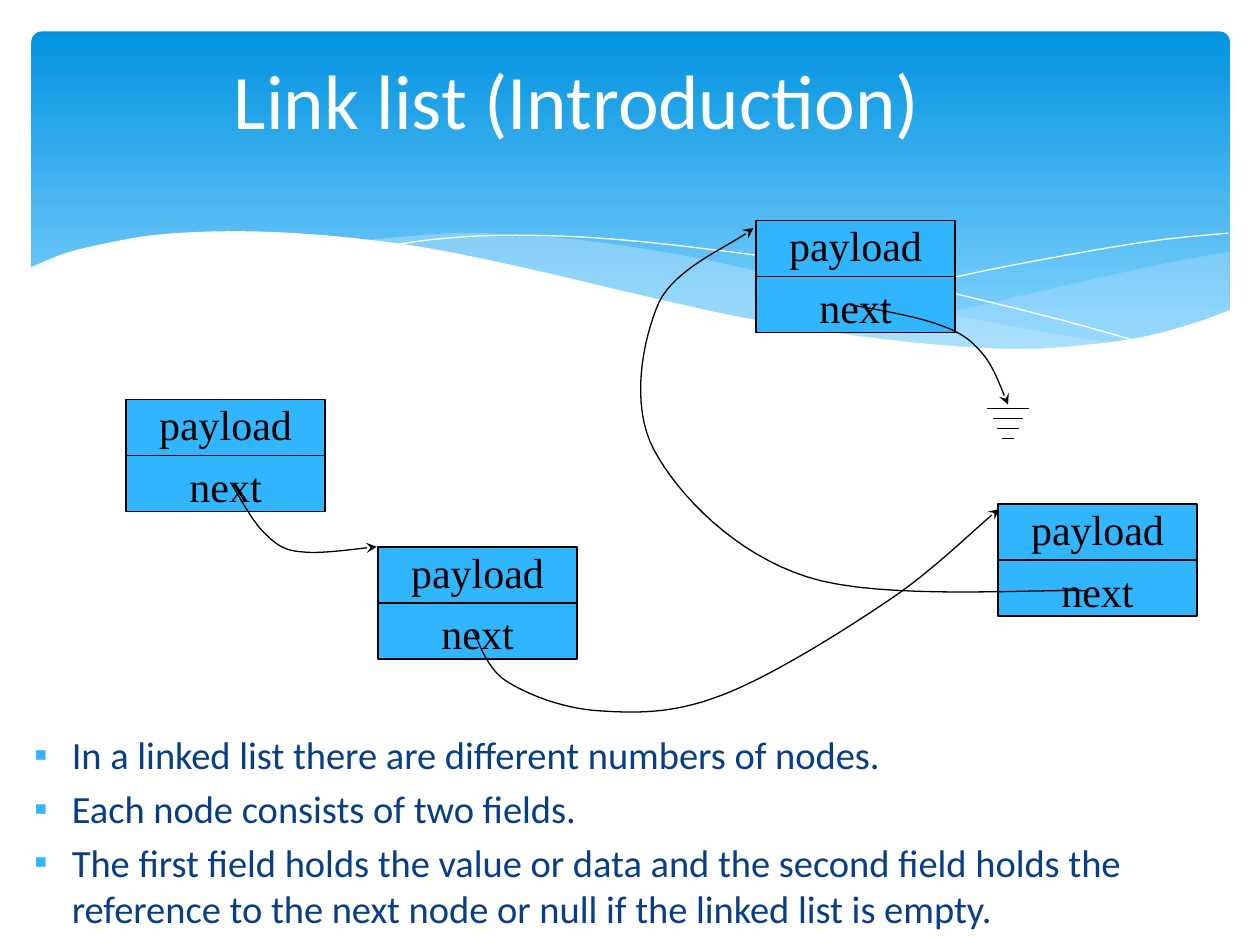
import pptx
import pptx.util
import pptx.dml.color
import pptx.enum.shapes
import pptx.enum.text
import pptx.oxml
import pptx.oxml.ns
import lxml.etree

Inches = pptx.util.Inches
Pt = pptx.util.Pt
Align = pptx.enum.text.PP_ALIGN
Fit = pptx.enum.text.MSO_AUTO_SIZE
Kind = pptx.enum.shapes.MSO_SHAPE
qn = pptx.oxml.ns.qn

COLORS = {"top": "0293E0", "low": "83D3FE", "mist": "C6E7FC", "white": "FFFFFF",
          "node": "31B6FD", "ink": "000000", "body": "073E87"}
TITLE = "Link list (Introduction)"
POINTS = [
    "In a linked list there are different numbers of nodes.",
    "Each node consists of two fields.",
    "The first field holds the value or data and the second field holds the "
    "reference to the next node or null if the linked list is empty.",
]
NODES = [(1, 3.17), (6, 1.75), (3, 4.34), (7.92, 4)]
FIELDS = [("payload", 0), ("next", 0.49)]
WIDE, HIGH, ROW = 1.58, 0.89, 0.39
LINKS = [
    [(3.75, 5), (3.79, 5.06), (3.85, 5.29), (4.01, 5.4), (4.18, 5.51), (4.46, 5.62),
     (4.74, 5.64), (5.03, 5.66), (5.33, 5.67), (5.72, 5.52), (6.1, 5.38), (6.69, 5.01),
     (7.06, 4.76), (7.43, 4.51), (7.74, 4.19), (7.93, 4.04)],
    [(1.83, 3.83), (1.88, 3.9), (2, 4.14), (2.1, 4.23), (2.19, 4.32), (2.25, 4.37),
     (2.4, 4.38), (2.55, 4.4), (2.86, 4.35), (2.99, 4.34)],
    [(8.64, 4.69), (8.27, 4.67), (6.99, 4.77), (6.41, 4.58), (5.84, 4.4), (5.39, 3.94),
     (5.19, 3.57), (5, 3.21), (5.1, 2.7), (5.23, 2.4), (5.37, 2.11), (5.83, 1.94),
     (5.98, 1.81)],
    [(6.75, 2.42), (6.87, 2.44), (7.28, 2.51), (7.46, 2.58), (7.63, 2.64), (7.71, 2.7),
     (7.8, 2.81), (7.89, 2.91), (7.96, 3.12), (8, 3.21)],
]
GROUND = [0.34, 0.24, 0.18, 0.1]
MISTS = [
    (29, [(9.76, 2), (9.35, 2.07), (8.61, 2.23), (7.79, 2.42), (7.06, 2.57), (6.61, 2.65)],
     [(6.61, 2.65), (7.19, 2.72), (7.69, 2.77), (8.14, 2.78), (8.54, 2.76),
      (8.97, 2.7), (9.35, 2.62), (9.76, 2.47)]),
    (40, [(8.93, 2.73), (8.37, 2.65), (7.41, 2.47), (6.29, 2.22), (5.69, 2.08),
          (5.14, 1.98), (4.65, 1.91), (4.2, 1.87), (3.61, 1.85), (2.86, 1.91)],
     [(2.86, 1.91), (3.62, 2.03), (4.49, 2.22), (5.3, 2.4), (6.01, 2.55), (6.65, 2.66),
      (7.22, 2.74), (7.73, 2.77), (8.18, 2.78), (8.57, 2.77), (8.93, 2.73)]),
]
STRANDS = [
    [(3.09, 1.95), (3.44, 1.9), (3.87, 1.87), (4.33, 1.87), (4.89, 1.9), (5.56, 1.97),
     (6.36, 2.08), (7.27, 2.26), (8.31, 2.51), (9.07, 2.72)],
    [(6.13, 2.57), (6.95, 2.35), (7.76, 2.16), (8.66, 1.99), (9.24, 1.9), (9.75, 1.85)],
]
CREST = [(9.77, 2.46), (9.4, 2.59), (8.99, 2.69), (8.5, 2.75), (8.09, 2.77), (7.61, 2.75),
         (7.08, 2.7), (6.48, 2.62), (5.79, 2.5), (5.03, 2.33), (4.18, 2.13), (3.4, 1.97),
         (2.71, 1.88), (2.11, 1.84), (1.61, 1.84), (1.19, 1.87), (0.85, 1.93),
         (0.52, 2.01), (0.23, 2.13)]


def tint(name):
    return pptx.dml.color.RGBColor.from_string(COLORS[name])


def write(frame, text, size=24, font="Calibri", color="ink", align=None, gap=0, first=True):
    para = frame.paragraphs[0] if first else frame.add_paragraph()
    para.alignment = align
    para.space_before = Pt(gap)
    run = para.add_run()
    run.text = text
    run.font.size = Pt(size)
    run.font.name = font
    run.font.color.rgb = tint(color)
    return para


def curve(nodes, steps=16):
    spots = [nodes[0]]
    for i in range(0, len(nodes) - 1, 3):
        a, b, c, d = nodes[i:i + 4]
        for k in range(1, steps + 1):
            t = k / steps
            u = 1 - t
            spots.append(tuple(u**3 * p + 3 * u * u * t * q + 3 * u * t * t * r + t**3 * s
                               for p, q, r, s in zip(a, b, c, d)))
    return spots


def smooth(knots):
    ends = [knots[0], *knots, knots[-1]]
    nodes = [knots[0]]
    for a, b, c, d in zip(ends, ends[1:], ends[2:], ends[3:]):
        nodes += [tuple(q + (r - p) / 6 for p, q, r in zip(a, b, c)),
                  tuple(r - (s - q) / 6 for q, r, s in zip(b, c, d)), c]
    return curve(nodes, 6)


def trace(spots, fill=None, alpha=None, line=None, width=0.75, tail=False):
    spots = [(Inches(x), Inches(y)) for x, y in spots]
    pen = shapes.build_freeform(*spots[0], scale=1.0)
    pen.add_line_segments(spots[1:], close=bool(fill))
    shape = pen.convert_to_shape()
    shape.shadow.inherit = False
    if fill:
        shape.fill.solid()
        shape.fill.fore_color.rgb = tint(fill)
    else:
        shape.fill.background()
    if alpha:
        mark = shape.fill._xPr.find(".//" + qn("a:srgbClr"))
        lxml.etree.SubElement(mark, qn("a:alpha"), val=str(alpha * 1000))
    if line:
        shape.line.color.rgb = tint(line)
        shape.line.width = Pt(width)
    else:
        shape.line.fill.background()
    if tail:
        lxml.etree.SubElement(shape.line._get_or_add_ln(), qn("a:tailEnd"), type="stealth")


def rule(group, left, right, y):
    line = group.shapes.add_connector(pptx.enum.shapes.MSO_CONNECTOR.STRAIGHT,
                                      Inches(left), Inches(y), Inches(right), Inches(y))
    line.line.color.rgb = tint("ink")
    line.line.width = Pt(0.75)
    lxml.etree.SubElement(line.element.spPr, qn("a:effectLst"))
    return line


def place(shape, *rect):
    shape.left, shape.top, shape.width, shape.height = map(Inches, rect)
    shape.element.getparent().append(shape.element)
    frame = shape.text_frame
    frame.word_wrap = True
    frame.auto_size = Fit.NONE
    return frame


deck = pptx.Presentation()
deck.slide_width, deck.slide_height = Inches(10), Inches(7.5)
slide = deck.slides.add_slide(deck.slide_layouts[1])
shapes = slide.shapes

panel = shapes.add_shape(Kind.ROUNDED_RECTANGLE, Inches(0.25), Inches(0.25),
                         Inches(9.51), Inches(2.7))
panel.adjustments[0] = 0.03
panel.shadow.inherit = False
panel.line.fill.background()
panel.fill.gradient()
panel.fill.gradient_angle = 270
for stop, name, spot in zip(panel.fill.gradient_stops, ("top", "low"), (0, 0.9)):
    stop.color.rgb = tint(name)
    stop.position = spot

for alpha, upper, lower in MISTS:
    trace(smooth(upper) + smooth(lower), fill="mist", alpha=alpha)
for strand in STRANDS:
    trace(smooth(strand), line="white", width=0)
trace(smooth(CREST) + [(0.23, 3.29), (9.77, 3.29)], fill="white")

body = place(slide.placeholders[1], 0.17, 5.75, 9.58, 1.75)
for i, point in enumerate(POINTS):
    para = write(body, point, size=22, color="body", gap=4.4, first=i == 0)
    props = para._p.get_or_add_pPr()
    props.set("marL", str(Inches(0.3)))
    props.set("indent", str(Inches(-0.3)))
    paint = lxml.etree.SubElement(props, qn("a:buClr"))
    lxml.etree.SubElement(paint, qn("a:srgbClr"), val=COLORS["node"])
    lxml.etree.SubElement(props, qn("a:buChar"), char="▪")

head = place(shapes.title, 0.08, 0.47, 9, 0.62)
head.vertical_anchor = pptx.enum.text.MSO_ANCHOR.MIDDLE
write(head, TITLE, size=44, color="white", align=Align.CENTER)

for x, y in NODES:
    group = shapes.add_group_shape()
    box = group.shapes.add_shape(Kind.RECTANGLE, Inches(x), Inches(y), Inches(WIDE), Inches(HIGH))
    box.shadow.inherit = False
    box.fill.solid()
    box.fill.fore_color.rgb = tint("node")
    box.line.color.rgb = tint("ink")
    box.line.width = Pt(0.75)
    split = rule(group, x, x + WIDE, y + HIGH / 2)
    split.begin_connect(box, 1)
    split.end_connect(box, 3)
    for text, drop in FIELDS:
        label = group.shapes.add_textbox(Inches(x), Inches(y + drop), Inches(WIDE), Inches(ROW))
        frame = label.text_frame
        frame.word_wrap = True
        frame.auto_size = Fit.SHAPE_TO_FIT_TEXT
        frame.vertical_anchor = pptx.enum.text.MSO_ANCHOR.MIDDLE
        frame.margin_left = frame.margin_right = frame.margin_top = frame.margin_bottom = 0
        write(frame, text, font="Times New Roman", align=Align.CENTER)

for link in LINKS[:3]:
    trace(curve(link), line="ink", tail=True)
ground = shapes.add_group_shape()
for i, span in enumerate(GROUND):
    rule(ground, 8 - span / 2, 8 + span / 2, 3.24 + 0.08 * i)
trace(curve(LINKS[3]), line="ink", tail=True)

deck.save("out.pptx")
